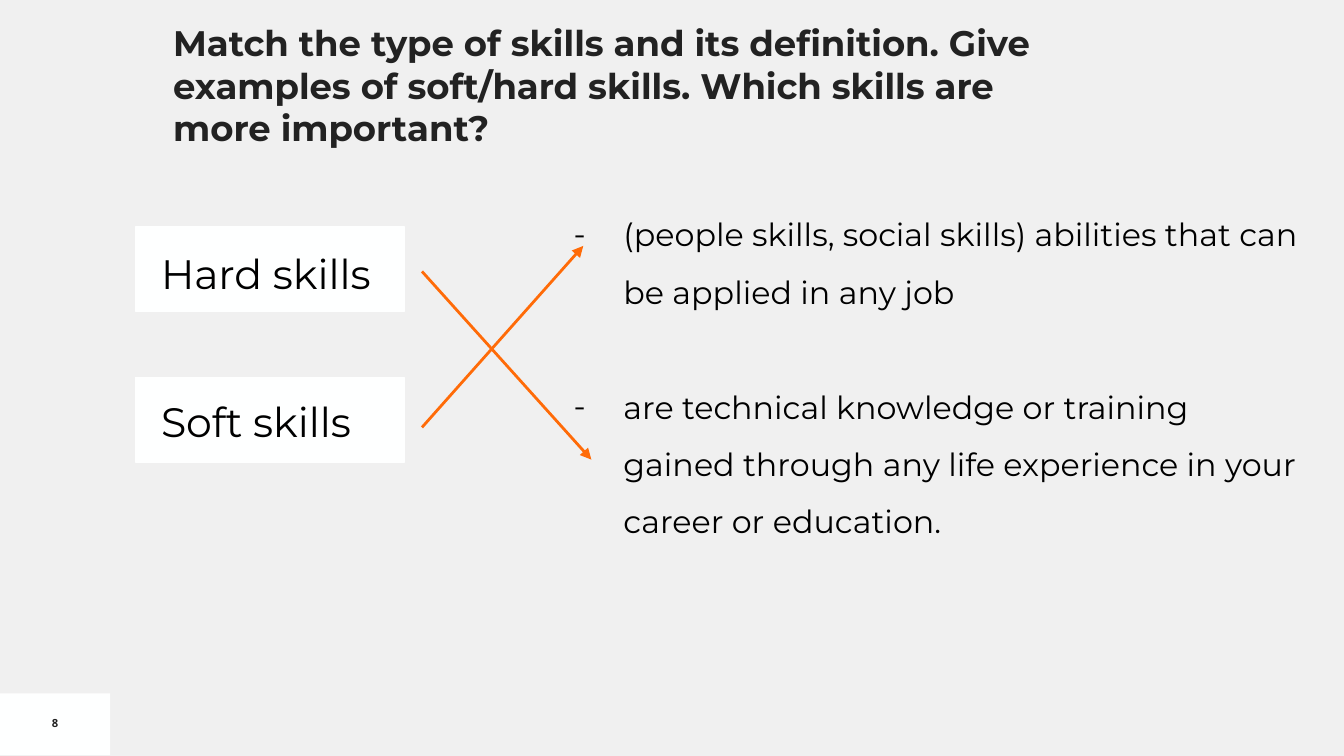
"""Build the slide that matches skill types with their definitions."""
from dataclasses import dataclass

from lxml import etree
from pptx import Presentation, util as u
from pptx.dml.color import RGBColor
from pptx.enum import shapes, text
from pptx.oxml import ns


@dataclass(frozen=True)
class Theme:
    background: str = "F0F0F0"
    panel: str = "FEFFFF"
    accent: str = "FF6B08"
    heading: str = "222222"
    body: str = "000000"
    body_font: str = "Montserrat"
    number_font: str = "Open Sans"
    title_size: int = 19
    label_size: int = 22
    definition_size: int = 17
    number_size: int = 6


def add_xml(parent, tag, **attributes):
    return etree.SubElement(parent, ns.qn(tag), attributes)


def write(frame, paragraphs, *, size, color, font, bold=False, align=None,
          line_spacing=None, gap=0, dash_indent=None):
    for index, wording in enumerate(paragraphs):
        paragraph = frame.add_paragraph() if index else frame.paragraphs[0]
        if dash_indent:
            left, hanging = dash_indent
            properties = paragraph._p.get_or_add_pPr()
            properties.set("marL", str(u.Inches(left)))
            properties.set("indent", str(u.Inches(-hanging)))
            add_xml(add_xml(properties, "a:buClr"), "a:srgbClr", val=color)
            add_xml(properties, "a:buFont", typeface=font)
            add_xml(properties, "a:buChar", char="-")
        if align is not None:
            paragraph.alignment = align
        if line_spacing:
            paragraph.line_spacing = line_spacing
        if index and gap:
            paragraph.space_before = u.Pt(gap)
        run = paragraph.add_run()
        run.text = wording
        run.font.name, run.font.size, run.font.bold = font, u.Pt(size), bold
        run.font.color.rgb = RGBColor.from_string(color)


class SlideBuilder:
    def __init__(self, slide, theme):
        self.slide, self.theme = slide, theme
        fill = slide.background.fill
        fill.solid()
        fill.fore_color.rgb = RGBColor.from_string(theme.background)

    def panel(self, left, top, width, height, outlined=True):
        panel = self.slide.shapes.add_shape(
            shapes.MSO_SHAPE.RECTANGLE, *map(u.Inches, (left, top, width, height)))
        panel.shadow.inherit = False
        color = RGBColor.from_string(self.theme.panel)
        panel.fill.solid()
        panel.fill.fore_color.rgb = color
        if outlined:
            panel.line.color.rgb = color
            panel.line.width = u.Pt(0.75)
        else:
            panel.line.fill.background()

    def textbox(self, left, top, width, height, paragraphs, *, insets=(0.1, 0.1),
                anchor=text.MSO_ANCHOR.TOP, **style):
        box = self.slide.shapes.add_textbox(*map(u.Inches, (left, top, width, height)))
        frame = box.text_frame
        frame.word_wrap = True
        frame.vertical_anchor = anchor
        frame.margin_left = frame.margin_right = u.Inches(insets[0])
        frame.margin_top = frame.margin_bottom = u.Inches(insets[1])
        write(frame, paragraphs, **style)

    def arrow(self, start, end):
        arrow = self.slide.shapes.add_connector(
            shapes.MSO_CONNECTOR.STRAIGHT, *map(u.Inches, (*start, *end)))
        arrow.line.color.rgb = RGBColor.from_string(self.theme.accent)
        arrow.line.width = u.Pt(1.5)
        add_xml(arrow.line._get_or_add_ln(), "a:tailEnd", type="triangle")
        add_xml(arrow._element.spPr, "a:effectLst")


def main():
    theme = Theme()
    deck = Presentation()
    deck.slide_width = u.Inches(10)
    deck.slide_height = deck.slide_width * 9 // 16
    page = SlideBuilder(deck.slides.add_slide(deck.slide_layouts[6]), theme)

    page.panel(0, 5.16, 0.82, 0.46, outlined=False)
    page.textbox(0, 5.23, 0.82, 0.3, ["8"], insets=(0.07, 0.04),
                 anchor=text.MSO_ANCHOR.MIDDLE, align=text.PP_ALIGN.CENTER,
                 size=theme.number_size, color=theme.heading,
                 font=theme.number_font, bold=True)

    for skill_top in (2.81, 1.69):
        page.panel(1.01, skill_top, 2, 0.63)

    page.textbox(1.19, 0.06, 6.82, 1.16,
                 ["Match the type of skills and its definition. Give examples of "
                  "soft/hard skills. Which skills are more important?"],
                 size=theme.title_size, color=theme.heading,
                 font=theme.body_font, bold=True)
    page.textbox(1.1, 1.75, 2.9, 1.68, ["Hard skills", "Soft skills"],
                 size=theme.label_size, color=theme.body,
                 font=theme.body_font, gap=53)
    page.textbox(4.04, 1.36, 5.75, 2.63,
                 ["(people skills, social skills) abilities that can be applied "
                  "in any job",
                  "are technical knowledge or training gained through any life "
                  "experience in your career or education."],
                 size=theme.definition_size, color=theme.body, font=theme.body_font,
                 line_spacing=1.5, gap=31, dash_indent=(0.5, 0.37))

    page.arrow((3.14, 3.18), (4.34, 1.83))
    page.arrow((3.14, 2.02), (4.4, 3.42))
    deck.save("out.pptx")


if __name__ == "__main__":
    main()
